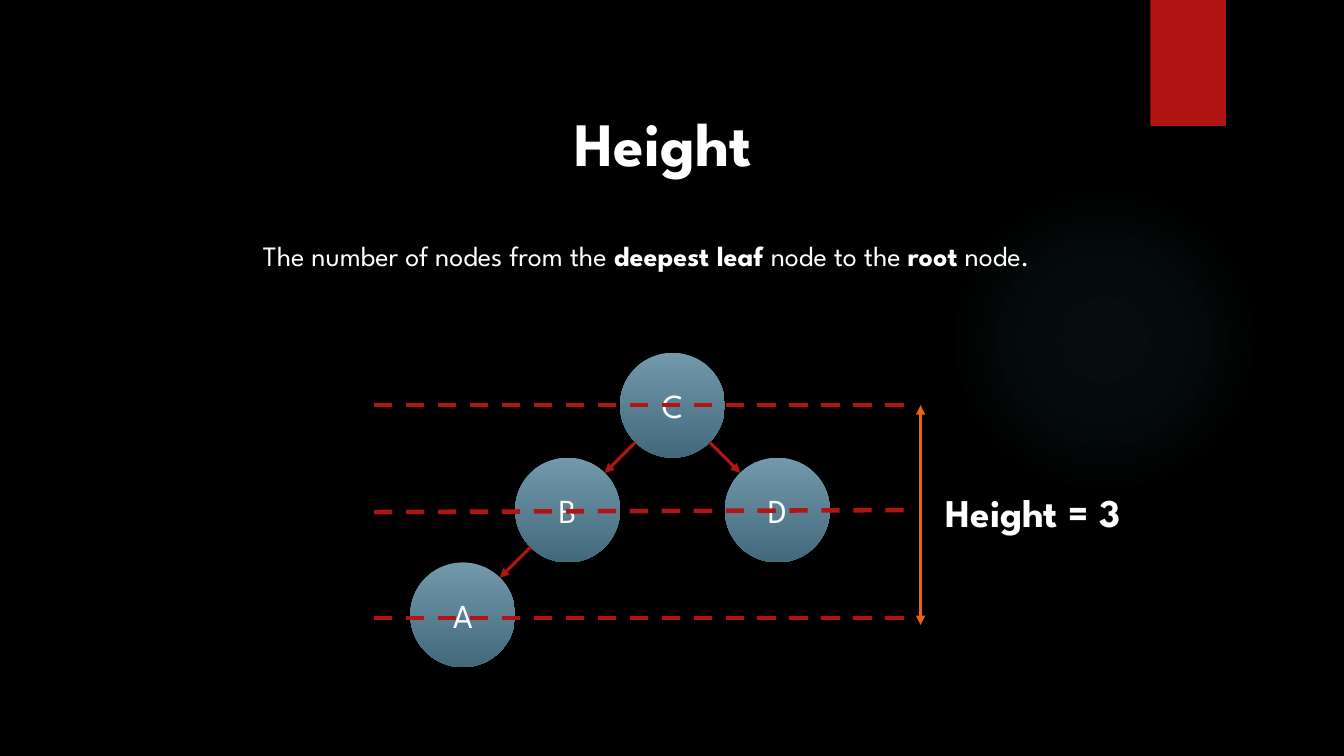
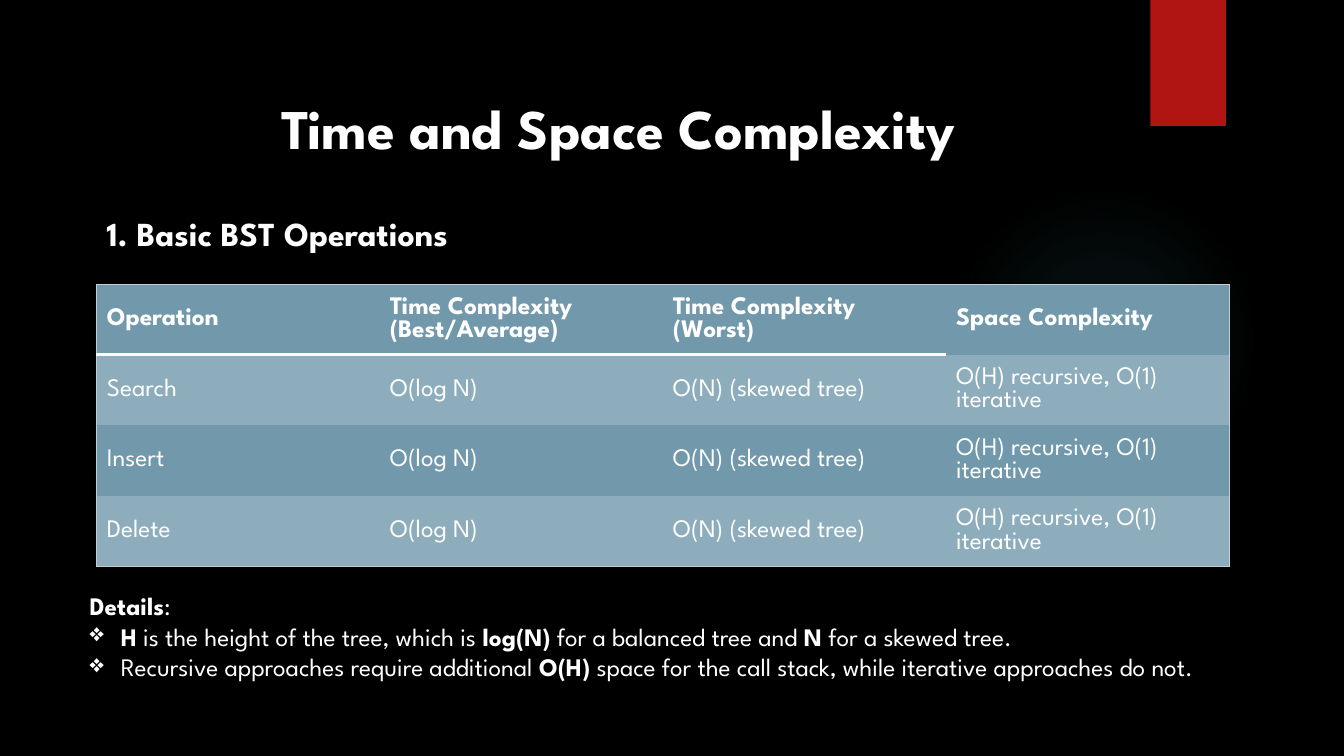
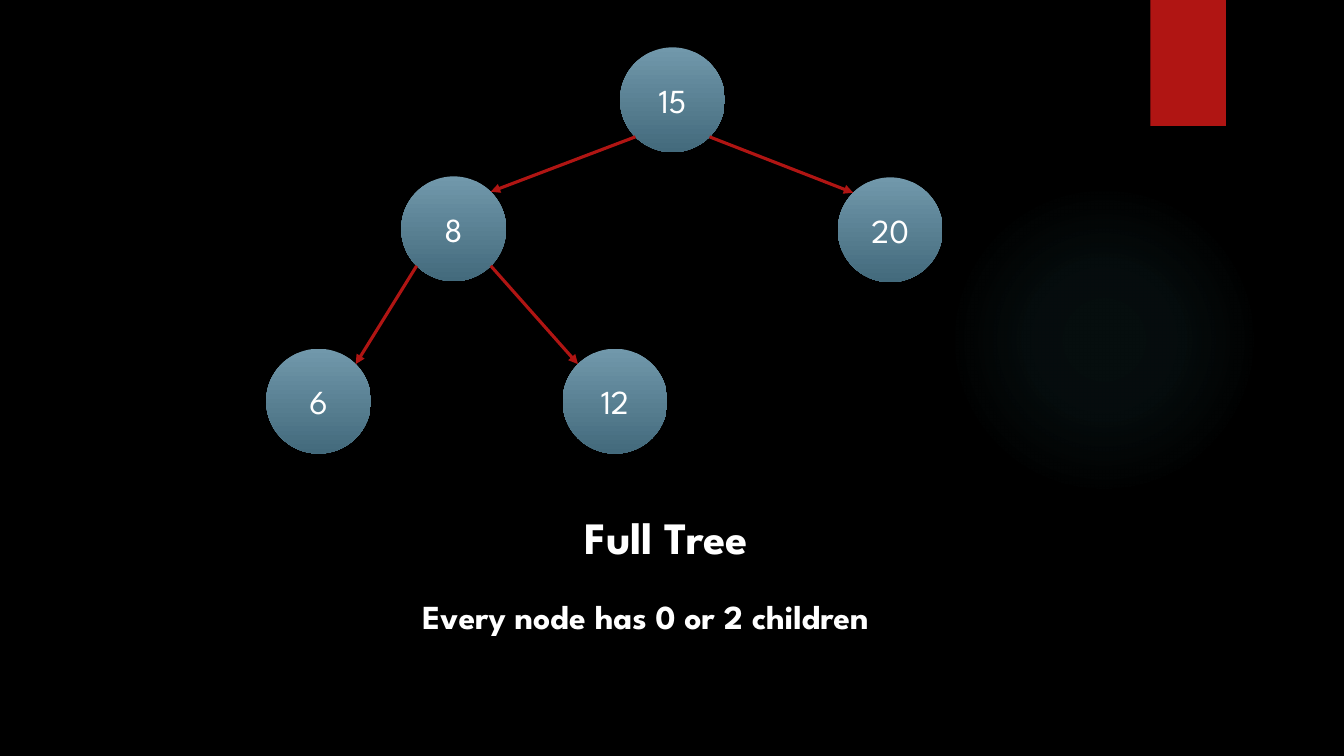
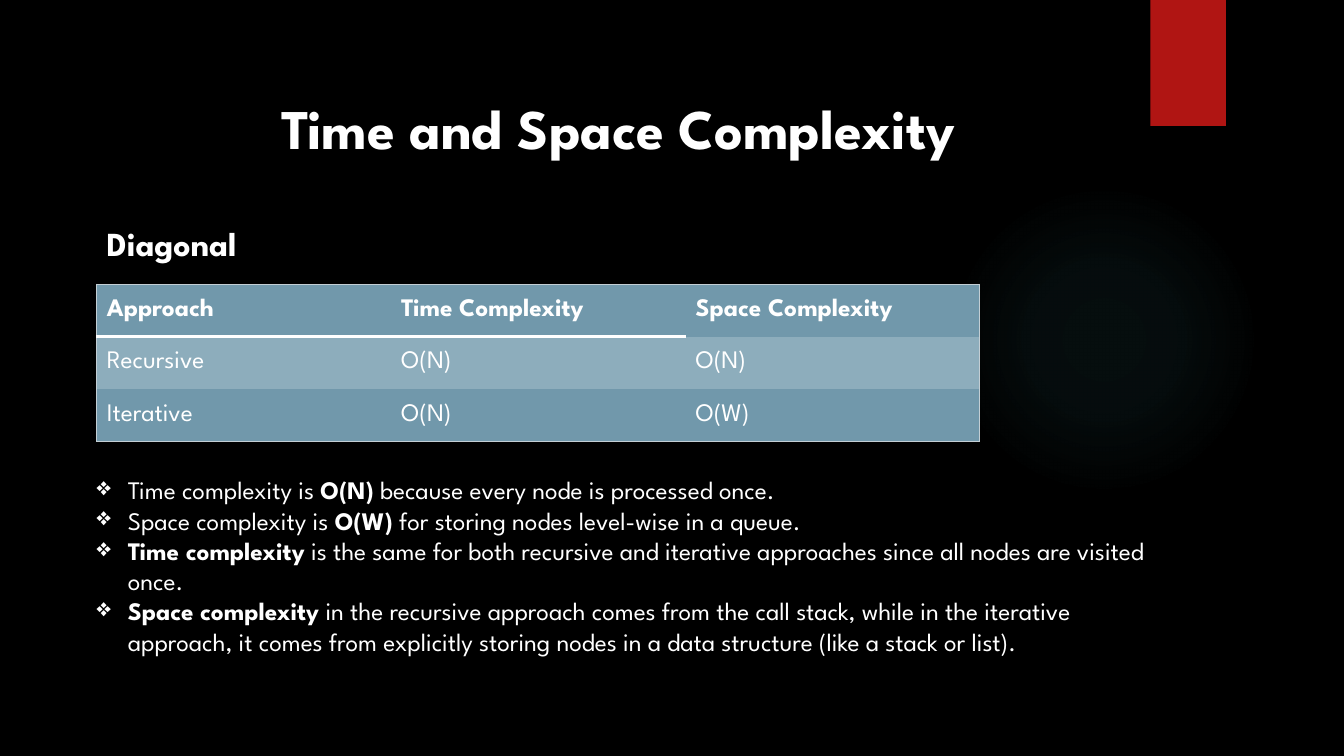
from dataclasses import dataclass
from math import sqrt
from typing import Any, NamedTuple

from lxml import etree
from pptx import Presentation
from pptx.dml.color import RGBColor
from pptx.enum import dml, shapes, text
from pptx.oxml.ns import qn
from pptx.util import Inches, Pt

BLACK = RGBColor(0x00, 0x00, 0x00)
WHITE = RGBColor(0xFF, 0xFF, 0xFF)
RED = RGBColor(0xB0, 0x15, 0x13)
ORANGE = RGBColor(0xEA, 0x63, 0x12)
TEAL = RGBColor(0x50, 0xB9, 0xC1)
STEEL = RGBColor(0x71, 0x98, 0xAB)
DARK_STEEL = RGBColor(0x43, 0x6A, 0x7C)
PALE_STEEL = RGBColor(0x8D, 0xAD, 0xBC)
FRAME_GREY = RGBColor(0xC3, 0xCE, 0xD4)

FONT = "League Spartan"
BULLET = "❖"
HANGING = 0.31
RADIUS = 0.52
DIAGONAL = RADIUS / sqrt(2)
NO_TABLE_STYLE = "{2D5ABB26-0587-4C30-8999-92F81FD0307C}"


class Point(NamedTuple):
    x: float
    y: float


class Box(NamedTuple):
    left: float
    top: float
    width: float
    height: float

    def lengths(self) -> list[Inches]:
        return [Inches(value) for value in self]


class Edge(NamedTuple):
    color: RGBColor
    width: float


@dataclass(frozen=True)
class Node:
    label: str
    center: Point
    parent: str = ""


@dataclass(frozen=True)
class Line:
    start: Point
    end: Point
    color: RGBColor = RED
    width: float = 2.25
    head: bool = False
    tail: bool = False
    dashed: bool = False


@dataclass(frozen=True)
class Block:
    box: Box
    paragraphs: tuple[str, ...]
    size: float
    wrap: bool = True
    bulleted_from: int = 99
    space_after: float = 0


@dataclass(frozen=True)
class Grid:
    box: Box
    rows: tuple[tuple[str, ...], ...]


FRAME_EDGE = Edge(FRAME_GREY, 0.75)
HEADER_EDGE = Edge(WHITE, 2.25)

HEIGHT_NODES = (
    Node("C", Point(6.67, 4.02)),
    Node("B", Point(5.63, 5.06), "C"),
    Node("A", Point(4.59, 6.1), "B"),
    Node("D", Point(7.71, 5.06), "C"),
)
FULL_TREE_NODES = (
    Node("15", Point(6.67, 0.99)),
    Node("8", Point(4.5, 2.27), "15"),
    Node("6", Point(3.16, 3.98), "8"),
    Node("12", Point(6.1, 3.98), "8"),
    Node("20", Point(8.83, 2.28), "15"),
)
LEVELS = ((4.02, 4.02), (5.08, 5.06), (6.13, 6.13))

OPERATIONS = Grid(
    Box(0.96, 2.82, 11.23, 2.8),
    (
        ("Operation", "Time Complexity (Best/Average)", "Time Complexity (Worst)", "Space Complexity"),
        *(
            (name, "O(log N)", "O(N) (skewed tree)", "O(H) recursive, O(1) iterative")
            for name in ("Search", "Insert", "Delete")
        ),
    ),
)
OPERATION_DETAILS = Block(
    Box(0.79, 5.81, 11.4, 1.31),
    (
        "**Details**:",
        "**H** is the height of the tree, which is **log(N)** for a balanced tree and **N** for a skewed tree.",
        "Recursive approaches require additional **O(H)** space for the call stack, "
        "while iterative approaches do not.",
    ),
    18,
    bulleted_from=1,
)
APPROACHES = Grid(
    Box(0.96, 2.82, 8.76, 1.56),
    (
        ("Approach", "Time Complexity", "Space Complexity"),
        ("Recursive", "O(N)", "O(N)"),
        ("Iterative", "O(N)", "O(W)"),
    ),
)
APPROACH_DETAILS = Block(
    Box(0.86, 4.66, 10.64, 2.22),
    (
        "Time complexity is **O(N)** because every node is processed once.",
        "Space complexity is **O(W)** for storing nodes level-wise in a queue.",
        "**Time complexity** is the same for both recursive and iterative approaches "
        "since all nodes are visited once.",
        "**Space complexity** in the recursive approach comes from the call stack, while in the iterative "
        "approach, it comes from explicitly storing nodes in a data structure (like a stack or list).",
    ),
    18,
    bulleted_from=0,
)


def add_element(parent: Any, tag: str, **attributes: object) -> Any:
    return etree.SubElement(parent, qn(tag), {name: str(value) for name, value in attributes.items()})


def add_runs(paragraph: Any, marked: str, size: float) -> None:
    for index, part in enumerate(marked.split("**")):
        if part:
            run = paragraph.add_run()
            run.text = part
            run.font.name = FONT
            run.font.size = Pt(size)
            run.font.bold = index % 2 == 1
            run.font.color.rgb = WHITE


def add_bullet(paragraph: Any) -> None:
    properties = paragraph._p.get_or_add_pPr()
    properties.set("marL", str(Inches(HANGING)))
    properties.set("indent", str(-Inches(HANGING)))
    add_element(properties, "a:buChar", char=BULLET)


def add_block(slide: Any, block: Block) -> None:
    frame = slide.shapes.add_textbox(*block.box.lengths()).text_frame
    frame.word_wrap = block.wrap
    frame.auto_size = text.MSO_AUTO_SIZE.SHAPE_TO_FIT_TEXT
    for index, marked in enumerate(block.paragraphs):
        paragraph = frame.add_paragraph() if index else frame.paragraphs[0]
        if block.space_after:
            paragraph.space_after = Pt(block.space_after)
        if index >= block.bulleted_from:
            add_bullet(paragraph)
        add_runs(paragraph, marked, block.size)


def add_heading(slide: Any, words: str, box: Box, size: float, wrap: bool = True) -> None:
    add_block(slide, Block(box, (f"**{words}**",), size, wrap))


def add_plain_shape(slide: Any, kind: shapes.MSO_SHAPE, box: Box) -> Any:
    shape = slide.shapes.add_shape(kind, *box.lengths())
    shape.shadow.inherit = False
    shape.line.fill.background()
    return shape


def add_glow(slide: Any) -> None:
    glow = add_plain_shape(slide, shapes.MSO_SHAPE.OVAL, Box(9.41, 1.83, 3.08, 3.08))
    glow.fill.gradient()
    gradient = glow.element.spPr.find(qn("a:gradFill"))
    for child in list(gradient):
        gradient.remove(child)
    stops = add_element(gradient, "a:gsLst")
    for position, opacity in ((0, 7), (36, 6), (69, 0)):
        stop = add_element(stops, "a:gs", pos=position * 1000)
        color = add_element(stop, "a:srgbClr", val=TEAL)
        add_element(color, "a:alpha", val=opacity * 1000)
    circle = add_element(gradient, "a:path", path="circle")
    add_element(circle, "a:fillToRect", l=50000, t=50000, r=50000, b=50000)


def add_base_slide(presentation: Any) -> Any:
    slide = presentation.slides.add_slide(presentation.slide_layouts[6])
    slide.background.fill.solid()
    slide.background.fill.fore_color.rgb = BLACK
    add_glow(slide)
    band = add_plain_shape(slide, shapes.MSO_SHAPE.RECTANGLE, Box(11.41, 0, 0.75, 1.25))
    band.fill.solid()
    band.fill.fore_color.rgb = RED
    return slide


def add_line(slide: Any, line: Line) -> None:
    ends = [Inches(value) for value in (*line.start, *line.end)]
    connector = slide.shapes.add_connector(shapes.MSO_CONNECTOR.STRAIGHT, *ends)
    connector.line.color.rgb = line.color
    connector.line.width = Pt(line.width)
    if line.dashed:
        connector.line.dash_style = dml.MSO_LINE.DASH
    properties = connector.element.spPr
    outline = properties.find(qn("a:ln"))
    for tag, shown in (("a:headEnd", line.head), ("a:tailEnd", line.tail)):
        if shown:
            add_element(outline, tag, type="triangle")
    add_element(properties, "a:effectLst")


def add_node(slide: Any, node: Node) -> None:
    box = Box(node.center.x - RADIUS, node.center.y - RADIUS, 2 * RADIUS, 2 * RADIUS)
    circle = add_plain_shape(slide, shapes.MSO_SHAPE.OVAL, box)
    circle.fill.gradient()
    circle.fill.gradient_angle = 270
    for stop, color in zip(circle.fill.gradient_stops, (STEEL, DARK_STEEL)):
        stop.color.rgb = color
    circle.text_frame.vertical_anchor = text.MSO_ANCHOR.MIDDLE
    paragraph = circle.text_frame.paragraphs[0]
    paragraph.alignment = text.PP_ALIGN.CENTER
    add_runs(paragraph, node.label, 24)


def add_tree(slide: Any, nodes: tuple[Node, ...]) -> None:
    centers = {node.label: node.center for node in nodes}
    for node in nodes:
        add_node(slide, node)
    for node in nodes:
        if node.parent:
            parent, child = centers[node.parent], node.center
            reach = DIAGONAL if child.x > parent.x else -DIAGONAL
            start = Point(parent.x + reach, parent.y + DIAGONAL)
            end = Point(child.x - reach, child.y - DIAGONAL)
            add_line(slide, Line(start, end, tail=True))


def add_cell_edge(cell: Any, tag: str, edge: Edge) -> None:
    properties = cell._tc.get_or_add_tcPr()
    outline = add_element(properties, tag, w=Pt(edge.width))
    add_element(add_element(outline, "a:solidFill"), "a:srgbClr", val=edge.color)


def add_grid(slide: Any, grid: Grid) -> None:
    last_row, last_column = len(grid.rows) - 1, len(grid.rows[0]) - 1
    frame = slide.shapes.add_table(last_row + 1, last_column + 1, *grid.box.lengths())
    for style in frame.element.iter(qn("a:tableStyleId")):
        style.text = NO_TABLE_STYLE
    for row, labels in enumerate(grid.rows):
        for column, label in enumerate(labels):
            cell = frame.table.cell(row, column)
            if column == 0:
                add_cell_edge(cell, "a:lnL", FRAME_EDGE)
            if column == last_column:
                add_cell_edge(cell, "a:lnR", FRAME_EDGE)
            if row == 0:
                add_cell_edge(cell, "a:lnT", FRAME_EDGE)
            if row == 0 and column < last_column:
                add_cell_edge(cell, "a:lnB", HEADER_EDGE)
            if row == last_row:
                add_cell_edge(cell, "a:lnB", FRAME_EDGE)
            cell.fill.solid()
            cell.fill.fore_color.rgb = PALE_STEEL if row % 2 else STEEL
            cell.vertical_anchor = text.MSO_ANCHOR.MIDDLE
            add_runs(cell.text_frame.paragraphs[0], label if row else f"**{label}**", 18)


def build_height(presentation: Any) -> None:
    slide = add_base_slide(presentation)
    add_heading(slide, "Height", Box(5.6, 0.99, 2.13, 0.84), 44, wrap=False)
    definition = "The number of nodes from the **deepest leaf **node to the **root** node."
    add_block(slide, Block(Box(2.51, 2.32, 9.59, 0.44), (definition,), 20, space_after=18))
    add_tree(slide, HEIGHT_NODES)
    add_line(slide, Line(Point(9.13, 4.02), Point(9.13, 6.2), ORANGE, head=True, tail=True))
    add_heading(slide, "Height = 3", Box(9.28, 4.8, 2.1, 0.57), 28, wrap=False)
    for left_y, right_y in LEVELS:
        add_line(slide, Line(Point(3.71, left_y), Point(9.05, right_y), width=3.25, dashed=True))


def build_full_tree(presentation: Any) -> None:
    slide = add_base_slide(presentation)
    add_heading(slide, "Full Tree", Box(5.7, 5.01, 1.94, 0.64), 32, wrap=False)
    add_heading(slide, "Every node has 0 or 2 children", Box(4.09, 5.86, 5.16, 0.5), 24)
    add_tree(slide, FULL_TREE_NODES)


def build_complexity(presentation: Any, heading: str, heading_top: float, grid: Grid, details: Block) -> None:
    slide = add_base_slide(presentation)
    add_heading(slide, "Time and Space Complexity", Box(2.69, 0.88, 7.96, 0.77), 40)
    add_heading(slide, heading, Box(0.96, heading_top, 6.67, 0.5), 24)
    add_grid(slide, grid)
    add_block(slide, details)


def main() -> None:
    presentation = Presentation()
    presentation.slide_width = Inches(13.33)
    presentation.slide_height = Inches(7.5)
    build_height(presentation)
    build_complexity(presentation, "1. Basic BST Operations", 2.06, OPERATIONS, OPERATION_DETAILS)
    build_full_tree(presentation)
    build_complexity(presentation, "Diagonal", 2.16, APPROACHES, APPROACH_DETAILS)
    presentation.save("out.pptx")


if __name__ == "__main__":
    main()
